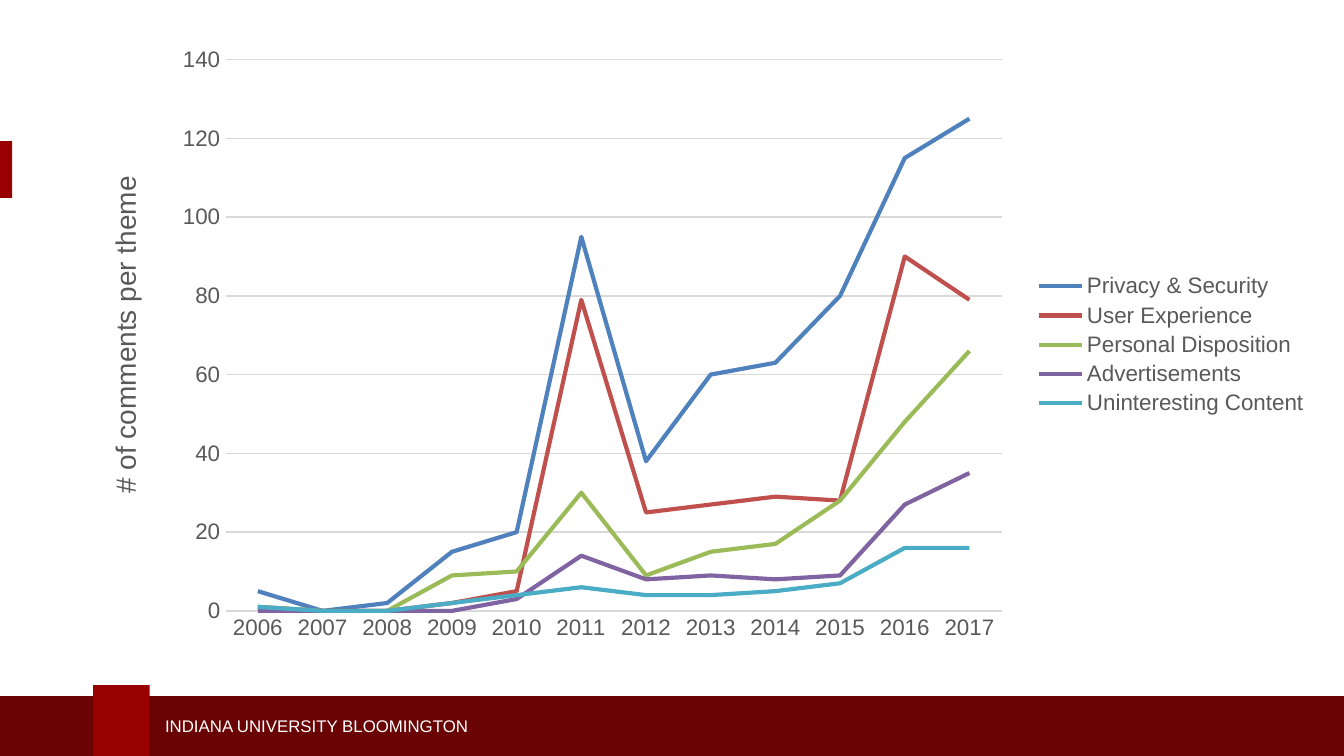
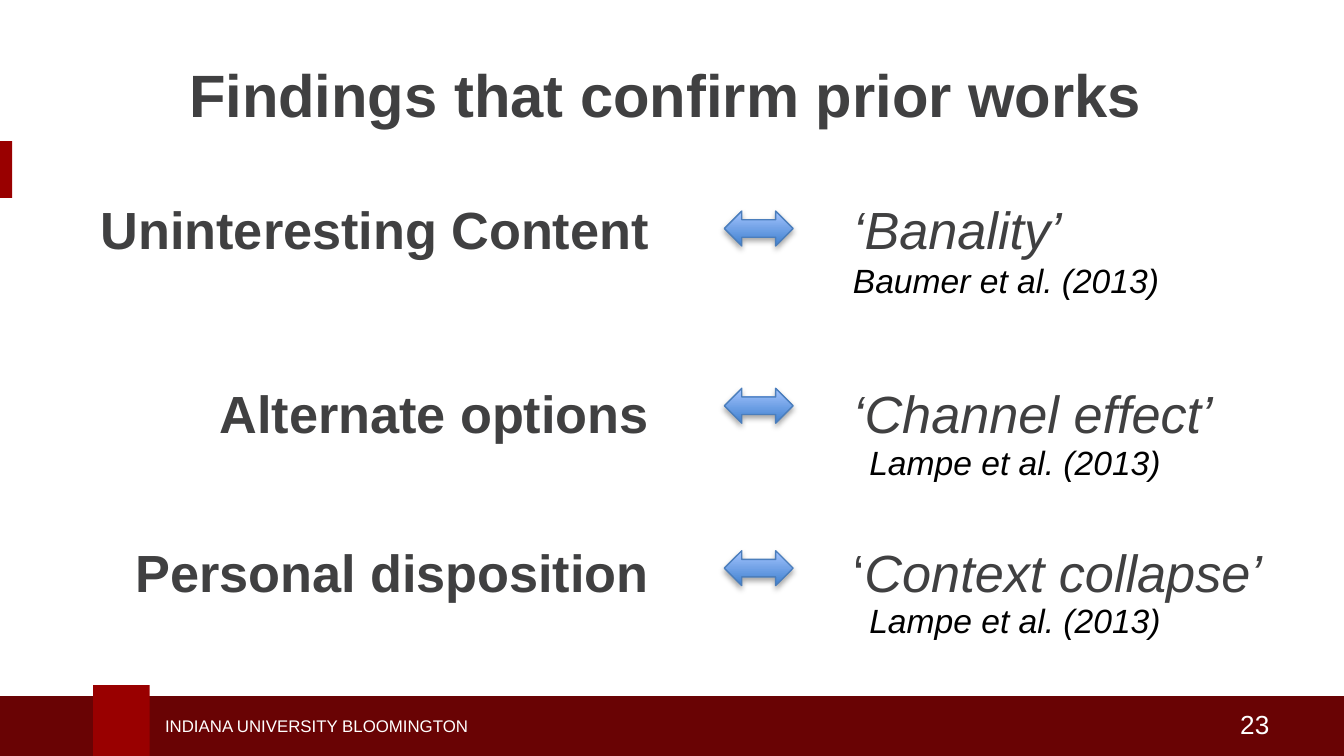
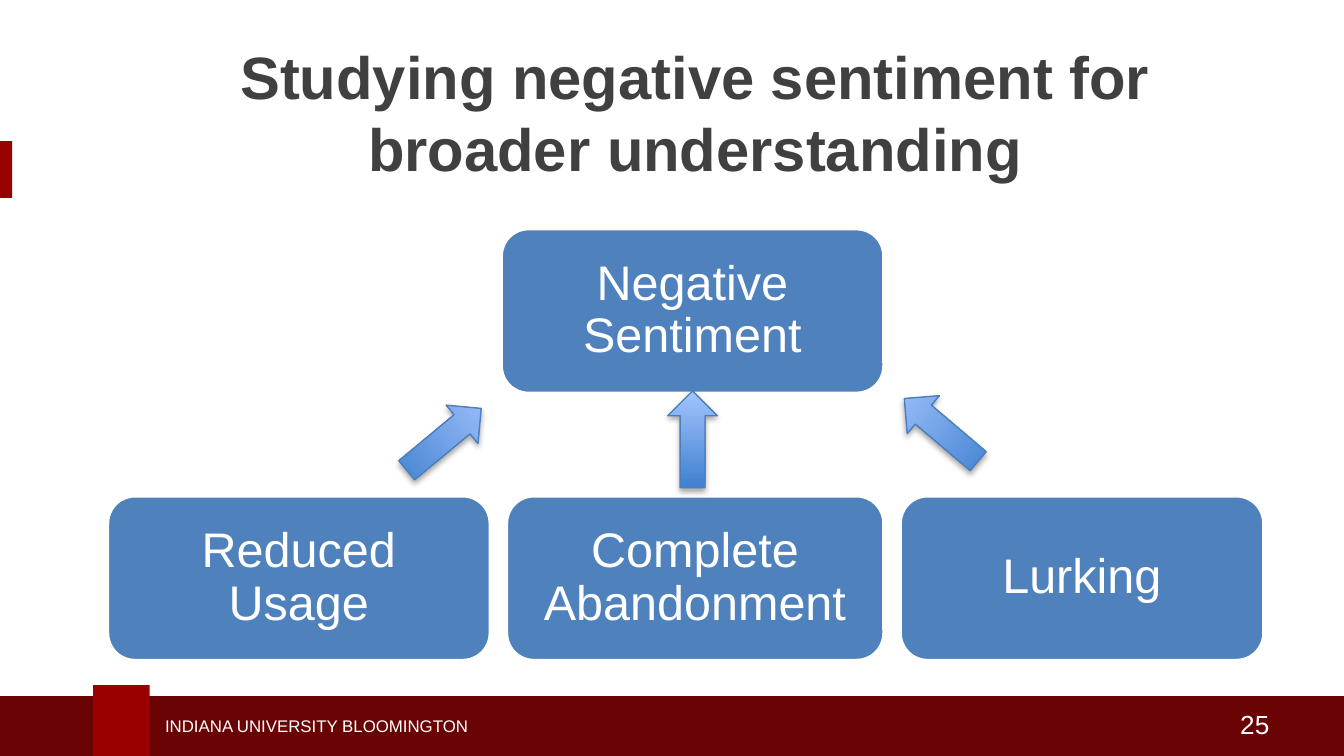
import pptx
import pptx.chart.data
import pptx.dml.color
import pptx.enum.chart
import pptx.enum.shapes
import pptx.enum.text
import pptx.oxml
import pptx.util
from pptx.util import Cm, Pt

SHAPE = pptx.enum.shapes.MSO_SHAPE
ALIGN = pptx.enum.text.PP_ALIGN
ANCHOR = pptx.enum.text.MSO_ANCHOR
NS = 'xmlns:a="http://schemas.openxmlformats.org/drawingml/2006/main"'
CHART_NS = 'xmlns:c="http://schemas.openxmlformats.org/drawingml/2006/chart"'

FONT = "Arial"
WHITE, BLACK, INK, GREY, RULE = "FFFFFF", "000000", "404041", "595959", "D9D9D9"
CRIMSON, MAROON, BLUE = "990000", "690304", "4F81BD"
ARROW_DARK, ARROW_LIGHT, ARROW_EDGE = "3F80CE", "A4C4FF", "4B7EBC"

FOOTER = "INDIANA UNIVERSITY BLOOMINGTON"
BANDS = [
    (CRIMSON, 0, 2.67, 0.23, 1.07),
    (MAROON, 0, 13.16, 25.4, 1.13),
    (CRIMSON, 1.76, 12.95, 1.07, 1.34),
]

AXIS_TITLE = "# of comments per theme"
YEARS = [str(year) for year in range(2006, 2018)]
THEMES = [
    ("Privacy & Security", BLUE, [5, 0, 2, 15, 20, 95, 38, 60, 63, 80, 115, 125]),
    ("User Experience", "C0504D", [1, 0, 0, 2, 5, 79, 25, 27, 29, 28, 90, 79]),
    ("Personal Disposition", "9BBB59", [1, 0, 0, 9, 10, 30, 9, 15, 17, 28, 48, 66]),
    ("Advertisements", "8064A2", [0, 0, 0, 0, 3, 14, 8, 9, 8, 9, 27, 35]),
    ("Uninteresting Content", "4BACC6", [1, 0, 0, 2, 4, 6, 4, 4, 5, 7, 16, 16]),
]
PLOT_LAYOUT = {"layoutTarget": "inner", "xMode": "edge", "yMode": "edge",
               "x": 0.11, "y": 0.04, "w": 0.63, "h": 0.89}
AXIS_TITLE_LAYOUT = {"xMode": "edge", "yMode": "edge", "x": 0.01, "y": 0.22}

FINDINGS_TITLE = "Findings that confirm prior works"
FINDINGS = [
    {"theme": "Uninteresting Content", "quote": [("‘Banality’", True)], "before": 0,
     "arrow": 3.99, "cite": ("Baumer et al. (2013)", 15.87, 4.78)},
    {"theme": "Alternate options", "quote": [("‘Channel effect’", True)], "before": 65,
     "arrow": 7.34, "cite": ("Lampe et al. (2013)", 16.18, 8.22)},
    {"theme": "Personal disposition", "quote": [("‘", False), ("Context collapse’", True)],
     "before": 51.5, "arrow": 10.41, "cite": ("Lampe et al. (2013)", 16.18, 11.22)},
]
FINDING_TABS = [("r", 10.54), ("l", 14.4)]

SENTIMENT_TITLE = "Studying negative sentiment for broader understanding"
SENTIMENT = ("Negative Sentiment", 9.47, 4.32, 7.24)
BEHAVIOURS = [("Reduced Usage", 7.24), ("Complete Abandonment", 7.14), ("Lurking", 6.88)]
BEHAVIOUR_LEFT, BEHAVIOUR_TOP, BEHAVIOUR_GAP, BOX_HEIGHT = 2.03, 9.37, 0.3, 3.12
UP_ARROWS = [(7.92, 7.39, 50.3), (12.62, 7.39, 0), (17.32, 7.21, 310.3)]


def rgb(value):
    """Turn a hex string into a colour."""
    return pptx.dml.color.RGBColor.from_string(value)


def style(font, size, color, bold=False, italic=False):
    """Format a font."""
    font.name, font.size, font.bold, font.italic = FONT, Pt(size), bold, italic
    font.color.rgb = rgb(color)


def write(p, text, size=18, color=BLACK, bold=False, italic=False, align=None, spacing=None):
    """Add a formatted run to a paragraph."""
    r = p.add_run()
    r.text = text
    style(r.font, size, color, bold, italic)
    if align is not None:
        p.alignment = align
    if spacing is not None:
        p.line_spacing = spacing


def add_box(s, x, y, w, h, wrap=True, anchor=ANCHOR.TOP):
    """Add an empty text box and return its frame."""
    tf = s.shapes.add_textbox(Cm(x), Cm(y), Cm(w), Cm(h)).text_frame
    tf.word_wrap, tf.vertical_anchor = wrap, anchor
    return tf


def add_shape(s, kind, x, y, w, h, fill=None, line=None, width=0.75):
    """Add a preset shape without a shadow."""
    sp = s.shapes.add_shape(kind, Cm(x), Cm(y), Cm(w), Cm(h))
    sp.shadow.inherit = False
    if fill:
        sp.fill.solid()
        sp.fill.fore_color.rgb = rgb(fill)
    if line:
        sp.line.color.rgb = rgb(line)
        sp.line.width = Pt(width)
    else:
        sp.line.fill.background()
    return sp


def add_arrow(s, kind, x, y, w, h, rotation=0):
    """Add a block arrow with a gradient and a soft shadow."""
    sp = add_shape(s, kind, x, y, w, h, line=ARROW_EDGE)
    sp.rotation = rotation
    sp.fill.gradient()
    sp.fill.gradient_angle = 90
    for stop, position, color in zip(sp.fill.gradient_stops, (0, 1), (ARROW_DARK, ARROW_LIGHT)):
        stop.position = position
        stop.color.rgb = rgb(color)
    effects = sp._element.spPr.find(pptx.oxml.ns.qn("a:effectLst"))
    effects.append(pptx.oxml.parse_xml(
        f'<a:outerShdw {NS} blurRad="{Pt(3.1)}" dist="{Pt(1.8)}" dir="5400000" rotWithShape="0">'
        f'<a:srgbClr val="{BLACK}"><a:alpha val="35000"/></a:srgbClr></a:outerShdw>'))


def add_node(s, text, x, y, w):
    """Add a rounded box with centred text."""
    sp = add_shape(s, SHAPE.ROUNDED_RECTANGLE, x, y, w, BOX_HEIGHT, BLUE, WHITE, 2)
    tf = sp.text_frame
    tf.word_wrap, tf.vertical_anchor = True, ANCHOR.MIDDLE
    tf.margin_left = tf.margin_right = Cm(0.4)
    write(tf.paragraphs[0], text, size=26, color=WHITE, align=ALIGN.CENTER, spacing=0.9)


def set_layout(element, index, values):
    """Give a chart part a manual layout."""
    for old in element.findall(pptx.oxml.ns.qn("c:layout")):
        element.remove(old)
    parts = "".join(f'<c:{key} val="{value}"/>' for key, value in values.items())
    element.insert(index, pptx.oxml.parse_xml(
        f"<c:layout {CHART_NS}><c:manualLayout>{parts}</c:manualLayout></c:layout>"))


def add_slide(prs, title=None, x=0, y=0, number=None):
    """Add a slide with bands, footer, and optional title and number."""
    s = prs.slides.add_slide(prs.slide_layouts[5 if title else 6])
    for color, *place in BANDS:
        add_shape(s, SHAPE.RECTANGLE, *place, fill=color)
    tf = add_box(s, 2.87, 13.4, 10.03, 0.64, anchor=ANCHOR.MIDDLE)
    write(tf.paragraphs[0], FOOTER, size=9, color=WHITE)
    if title:
        sp = s.shapes.title
        sp.left, sp.top, sp.width, sp.height = Cm(x), Cm(y), Cm(22.23), Cm(1.93)
        tf = sp.text_frame
        tf.auto_size = pptx.enum.text.MSO_AUTO_SIZE.NONE
        tf.word_wrap, tf.vertical_anchor = True, ANCHOR.MIDDLE
        tf.margin_left = tf.margin_right = Cm(0.5)
        write(tf.paragraphs[0], title, size=32, color=INK, bold=True, align=ALIGN.CENTER)
    if number:
        tf = add_box(s, 23.19, 13.26, 1.07, 0.86, wrap=False)
        write(tf.paragraphs[0], number, size=14, color=WHITE)
    return s


def build_chart(prs):
    """Build the slide with comments per theme and year."""
    s = add_slide(prs)
    data = pptx.chart.data.CategoryChartData()
    data.categories = YEARS
    for name, _, values in THEMES:
        data.add_series(name, values)
    chart = s.shapes.add_chart(pptx.enum.chart.XL_CHART_TYPE.LINE, Cm(1.7), Cm(0.66),
                               Cm(23.29), Cm(11.71), data).chart
    style(chart.font, 12, GREY)
    chart.has_title = False
    chart.has_legend = True
    chart.legend.position = pptx.enum.chart.XL_LEGEND_POSITION.RIGHT
    chart.legend.include_in_layout = False
    style(chart.legend.font, 12, GREY)
    plot = chart.plots[0]
    plot.vary_by_categories = False
    for series, (_, color, _) in zip(plot.series, THEMES):
        series.smooth = False
        series.marker.style = pptx.enum.chart.XL_MARKER_STYLE.NONE
        series.format.line.color.rgb = rgb(color)
        series.format.line.width = Pt(2.25)
    years, counts = chart.category_axis, chart.value_axis
    for axis in (years, counts):
        axis.major_tick_mark = axis.minor_tick_mark = pptx.enum.chart.XL_TICK_MARK.NONE
        style(axis.tick_labels.font, 12, GREY)
    counts.minimum_scale, counts.maximum_scale, counts.major_unit = 0, 140, 20
    counts.format.line.fill.background()
    for line in (years.format.line, counts.major_gridlines.format.line):
        line.color.rgb = rgb(RULE)
        line.width = Pt(0.75)
    write(counts.axis_title.text_frame.paragraphs[0], AXIS_TITLE, size=15, color=GREY)
    set_layout(counts.axis_title._element, 1, AXIS_TITLE_LAYOUT)
    set_layout(chart._chartSpace.chart.plotArea, 0, PLOT_LAYOUT)


def build_findings(prs):
    """Build the slide that pairs themes with prior findings."""
    s = add_slide(prs, FINDINGS_TITLE, 1.47, 0.81, "23")
    tf = add_box(s, 1.47, 3.6, 22.78, 7.8)
    tabs = "".join(f'<a:tab pos="{Cm(at)}" algn="{side}"/>' for side, at in FINDING_TABS)
    for i, row in enumerate(FINDINGS):
        p = tf.add_paragraph() if i else tf.paragraphs[0]
        p.space_before = Pt(row["before"])
        p._p.get_or_add_pPr().append(pptx.oxml.parse_xml(f"<a:tabLst {NS}>{tabs}</a:tabLst>"))
        write(p, f"\t{row['theme']}\t", size=28, color=INK, bold=True)
        for text, italic in row["quote"]:
            write(p, text, size=28, color=INK, italic=italic)
        add_arrow(s, SHAPE.LEFT_RIGHT_ARROW, 13.69, row["arrow"], 1.3, 0.66)
        cite, x, y = row["cite"]
        write(add_box(s, x, y, 7.24, 1.02).paragraphs[0], cite, italic=True)


def build_sentiment(prs):
    """Build the slide where three behaviours lead to negative sentiment."""
    s = add_slide(prs, SENTIMENT_TITLE, 2.03, 1.14, "25")
    x = BEHAVIOUR_LEFT
    for text, width in BEHAVIOURS:
        add_node(s, text, x, BEHAVIOUR_TOP, width)
        x += width + BEHAVIOUR_GAP
    add_node(s, *SENTIMENT)
    for x, y, rotation in UP_ARROWS:
        add_arrow(s, SHAPE.UP_ARROW, x, y, 0.94, 1.83, rotation)


def main():
    """Build and save the presentation."""
    prs = pptx.Presentation()
    prs.slide_width, prs.slide_height = Cm(25.4), Cm(14.29)
    build_chart(prs)
    build_findings(prs)
    build_sentiment(prs)
    prs.save("out.pptx")


if __name__ == "__main__":
    main()
